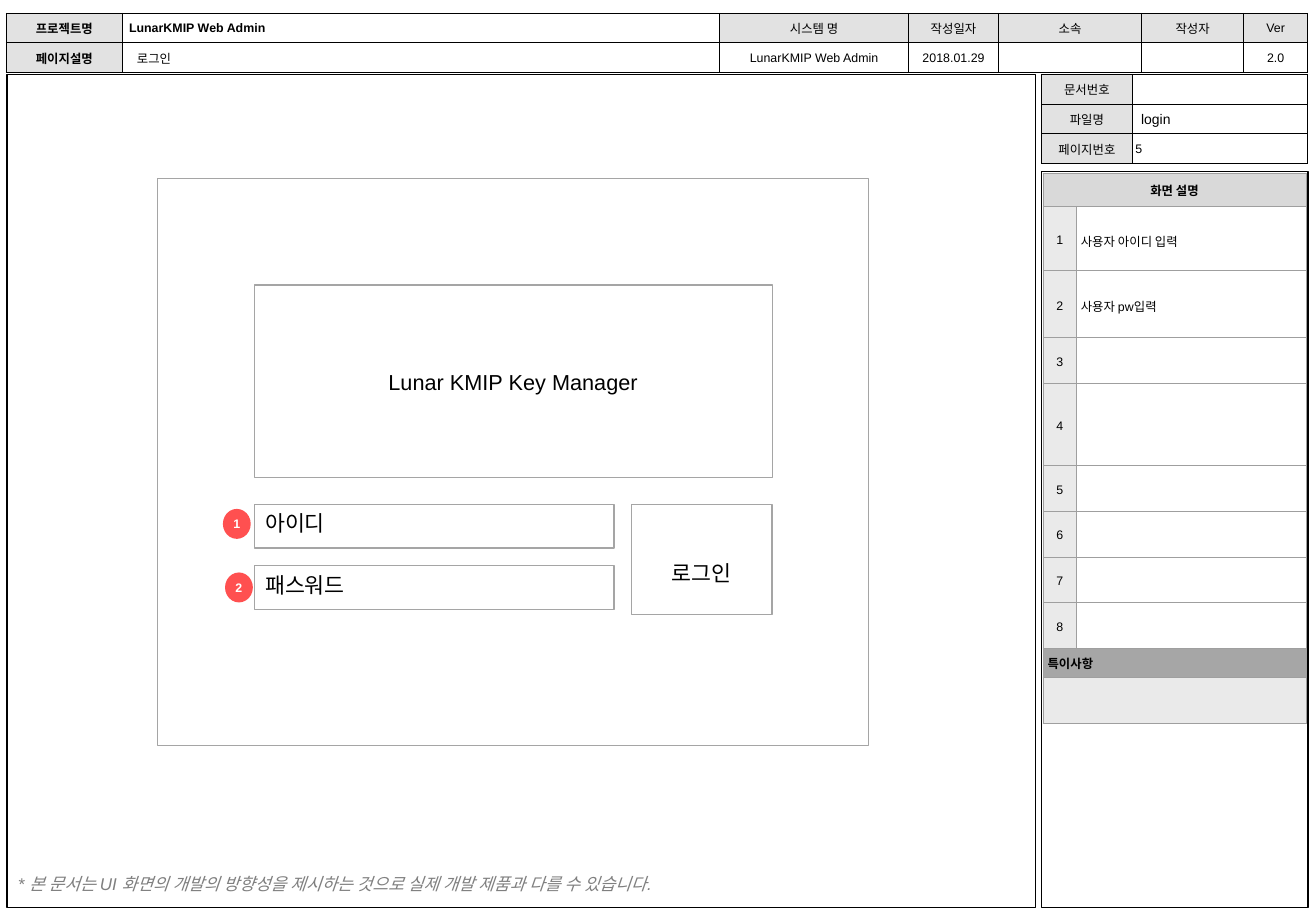
from lxml import etree
from pptx import Presentation
from pptx.dml.color import RGBColor
from pptx.enum import shapes, text
from pptx.oxml import ns
from pptx.util import Pt

BLACK = RGBColor(0x00, 0x00, 0x00)
WHITE = RGBColor(0xFF, 0xFF, 0xFF)
LABEL = RGBColor(0xE2, 0xE2, 0xE2)
TITLE = RGBColor(0xD9, 0xD9, 0xD9)
NUMBER = RGBColor(0xEA, 0xEA, 0xEA)
REMARK = RGBColor(0xA6, 0xA6, 0xA6)
GRID = RGBColor(0x9F, 0x9F, 0x9F)
OUTLINE = RGBColor(0xA5, 0xA5, 0xA5)
NOTE = RGBColor(0x7F, 0x7F, 0x7F)
MARKER = RGBColor(0xFF, 0x50, 0x50)

LEFT, CENTER = text.PP_ALIGN.LEFT, text.PP_ALIGN.CENTER
TOP, MIDDLE = text.MSO_ANCHOR.TOP, text.MSO_ANCHOR.MIDDLE
RECT, OVAL = shapes.MSO_SHAPE.RECTANGLE, shapes.MSO_SHAPE.OVAL

prs = Presentation()
prs.slide_width, prs.slide_height = Pt(850.3), Pt(595.4)
slide = prs.slides.add_slide(prs.slide_layouts[6])


def write(tf, content, size, color=BLACK, align=LEFT, bold=False, italic=False):
    tf.text = content
    p = tf.paragraphs[0]
    p.alignment = align
    for r in p.runs:
        r.font.name, r.font.size = "Arial", Pt(size)
        r.font.bold, r.font.italic = bold, italic
        r.font.color.rgb = color
    if not content:  # keeps empty rows from growing
        etree.SubElement(p._p, ns.qn("a:endParaRPr"), sz=str(size * 100))


def add_grid(x, y, cols, rows, cells, border, margins):
    """cells: rows of (content, fill, align, bold)."""
    table = slide.shapes.add_table(len(rows), len(cols), Pt(x), Pt(y),
                                   Pt(sum(cols)), Pt(sum(rows))).table
    table.first_row = table.horz_banding = False
    for col, w in zip(table.columns, cols):
        col.width = Pt(w)
    for i, h in enumerate(rows):
        table.rows[i].height = Pt(h)
        for j, (content, fill, align, bold) in enumerate(cells[i]):
            cell = table.cell(i, j)
            write(cell.text_frame, content, 8, align=align, bold=bold)
            cell.vertical_anchor = MIDDLE
            cell.margin_left = cell.margin_right = Pt(margins[0])
            cell.margin_top = cell.margin_bottom = Pt(margins[1])
            tc_pr = cell._tc.get_or_add_tcPr()
            for side in ("lnL", "lnR", "lnT", "lnB"):
                ln = etree.SubElement(tc_pr, ns.qn("a:" + side), w=str(Pt(0.75)))
                line_fill = etree.SubElement(ln, ns.qn("a:solidFill"))
                etree.SubElement(line_fill, ns.qn("a:srgbClr"), val=str(border))
            cell.fill.solid()
            cell.fill.fore_color.rgb = fill
    return table


# Document table
add_grid(673.2, 48.1, [58.3, 113.4], [19.2] * 3,
         [[(name, LABEL, CENTER, False), ("", WHITE, LEFT, False)]
          for name in ("문서번호", "파일명", "페이지번호")], BLACK, (4.3, 3.6))

# Project header
headings = ["시스템 명", "작성일자", "소속", "작성자", "Ver"]
values = ["LunarKMIP Web Admin", "2018.01.29", "", "", "2.0"]
add_grid(4.1, 8.6, [75, 386, 122, 58.2, 92.4, 66, 41.3], [19.2, 19.2],
         [[("프로젝트명", LABEL, CENTER, True),
           ("LunarKMIP Web Admin", WHITE, LEFT, True)]
          + [(h, LABEL, CENTER, False) for h in headings],
          [("페이지설명", LABEL, CENTER, True), ("", WHITE, LEFT, False)]
          + [(v, WHITE, CENTER, False) for v in values]], BLACK, (4.3, 3.6))

# Frames, login form and numbered markers
# (kind, x, y, w, h, fill, line, content, size, color, align, anchor, top margin)
SHAPES = [
    (RECT, 4.5, 48.2, 664.8, 538.6, None, BLACK, "", 8, BLACK, LEFT, TOP, 3.6),
    (RECT, 673.2, 110.9, 172, 475.9, WHITE, BLACK, "", 8, BLACK, LEFT, TOP, 3.6),
    (RECT, 102, 115.2, 459.4, 366.5, WHITE, OUTLINE, "", 8, BLACK, LEFT, TOP, 3.6),
    (RECT, 164.2, 326.2, 232.6, 28.1, WHITE, OUTLINE, "아이디", 14, BLACK, LEFT, TOP, 3.6),
    (RECT, 164.2, 365.8, 232.6, 28.1, WHITE, OUTLINE, "패스워드", 14, BLACK, LEFT, TOP, 3.6),
    (RECT, 164.2, 184.3, 334.8, 124.6, WHITE, OUTLINE, "Lunar KMIP Key Manager",
     14, BLACK, CENTER, MIDDLE, 3.6),
    (RECT, 408.2, 326.2, 90.7, 71.3, WHITE, OUTLINE, "로그인", 14, BLACK, CENTER, MIDDLE, 20),
    (OVAL, 144, 329, 18, 19.4, MARKER, None, "1", 8, WHITE, CENTER, MIDDLE, 0),
    (OVAL, 145.4, 370.1, 18, 19.4, MARKER, None, "2", 8, WHITE, CENTER, MIDDLE, 0),
]
for kind, x, y, w, h, fill, line, content, size, color, align, anchor, top in SHAPES:
    sp = slide.shapes.add_shape(kind, Pt(x), Pt(y), Pt(w), Pt(h))
    sp.shadow.inherit = False
    if fill is None:
        sp.fill.background()
    else:
        sp.fill.solid()
        sp.fill.fore_color.rgb = fill
    if line is None:
        sp.line.fill.background()
    else:
        sp.line.color.rgb = line
        sp.line.width = Pt(0.75)
    tf = sp.text_frame
    tf.vertical_anchor = anchor
    tf.margin_top, tf.margin_bottom = Pt(top), Pt(min(top, 3.6))
    tf.margin_left = tf.margin_right = Pt(0 if kind == OVAL else 7.2)
    if content:
        write(tf, content, size, color, align, bold=kind == OVAL)

# Screen description table
descriptions = ["사용자 아이디 입력", "사용자 pw입력"] + [""] * 6
rows = [[("화면 설명", TITLE, CENTER, True), ("", TITLE, CENTER, True)]]
rows += [[(str(n), NUMBER, CENTER, False), (d, WHITE, LEFT, False)]
         for n, d in enumerate(descriptions, 1)]
rows += [[("특이사항", REMARK, LEFT, True), ("", REMARK, LEFT, True)],
         [("", NUMBER, LEFT, False)] * 2]
table = add_grid(674, 112.2, [21.5, 148.5],
                 [21.5, 41.5, 43.2, 29.6, 53] + [29.6] * 4 + [18.8, 29.6],
                 rows, GRID, (2.9, 2.9))
for i in (0, 9, 10):
    table.cell(i, 0).merge(table.cell(i, 1))
for i in range(1, 9):
    for cell in table.rows[i].cells:
        cell.text_frame.paragraphs[0].line_spacing = 1.2

# Free text: (x, y, w, h, margin x, margin y, content, size, color, italic)
TEXTS = [
    (726.5, 87.8, 37.4, 17.3, 7.2, 3.6, "5", 8, BLACK, False),
    (81.4, 29.5, 259.2, 14.4, 7.2, 3.6, "로그인", 8, BLACK, False),
    (737.3, 71.3, 65.5, 10.8, 0, 0, "login", 9, BLACK, False),
    (11.5, 564.5, 461.5, 13.7, 0, 0,
     "* 본 문서는 UI 화면의 개발의 방향성을 제시하는 것으로 실제 개발 제품과 다를 수 있습니다.",
     11, NOTE, True),
]
for x, y, w, h, mx, my, content, size, color, italic in TEXTS:
    tf = slide.shapes.add_textbox(Pt(x), Pt(y), Pt(w), Pt(h)).text_frame
    tf.word_wrap = True
    tf.margin_left = tf.margin_right = Pt(mx)
    tf.margin_top = tf.margin_bottom = Pt(my)
    write(tf, content, size, color, italic=italic)

prs.save("out.pptx")
